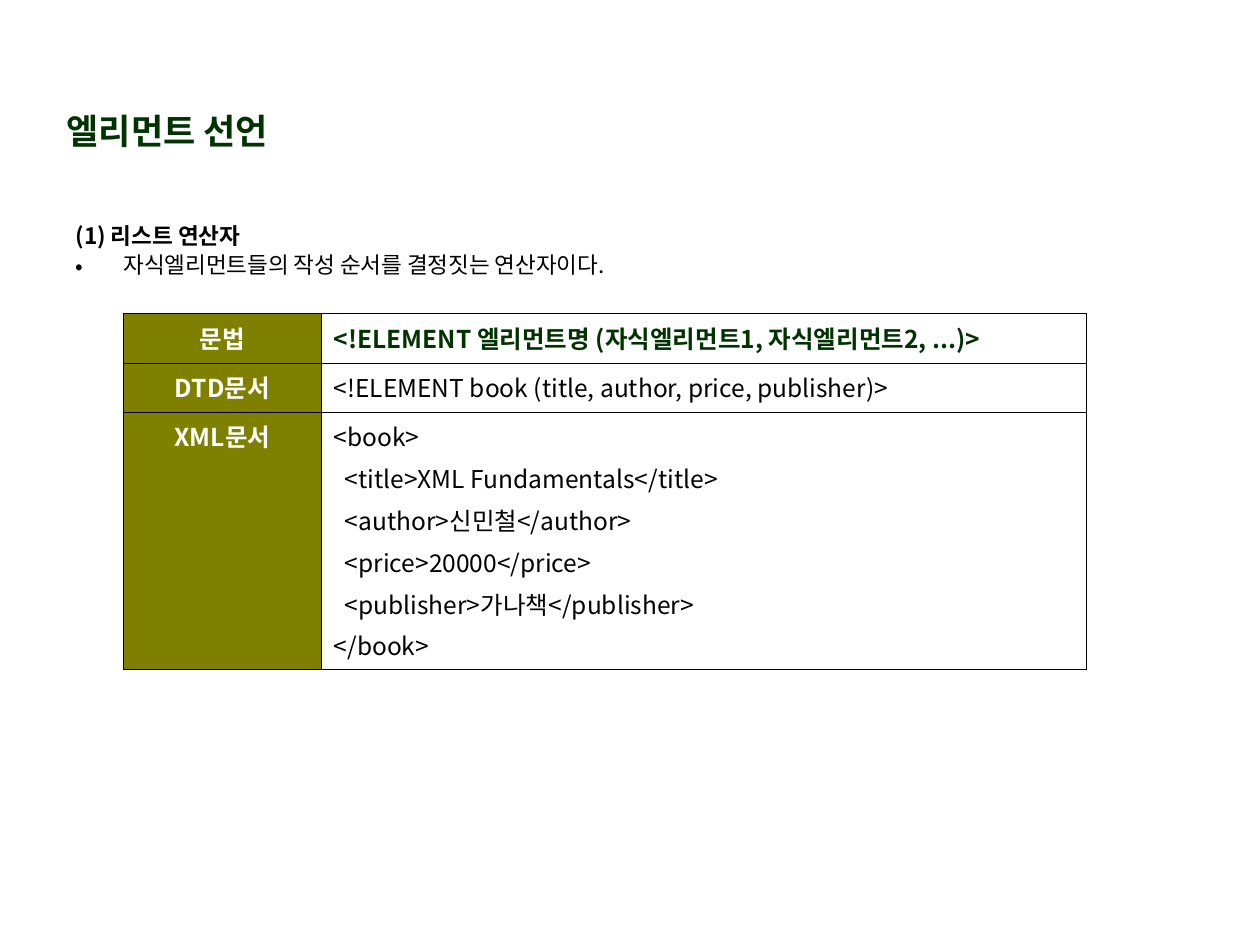
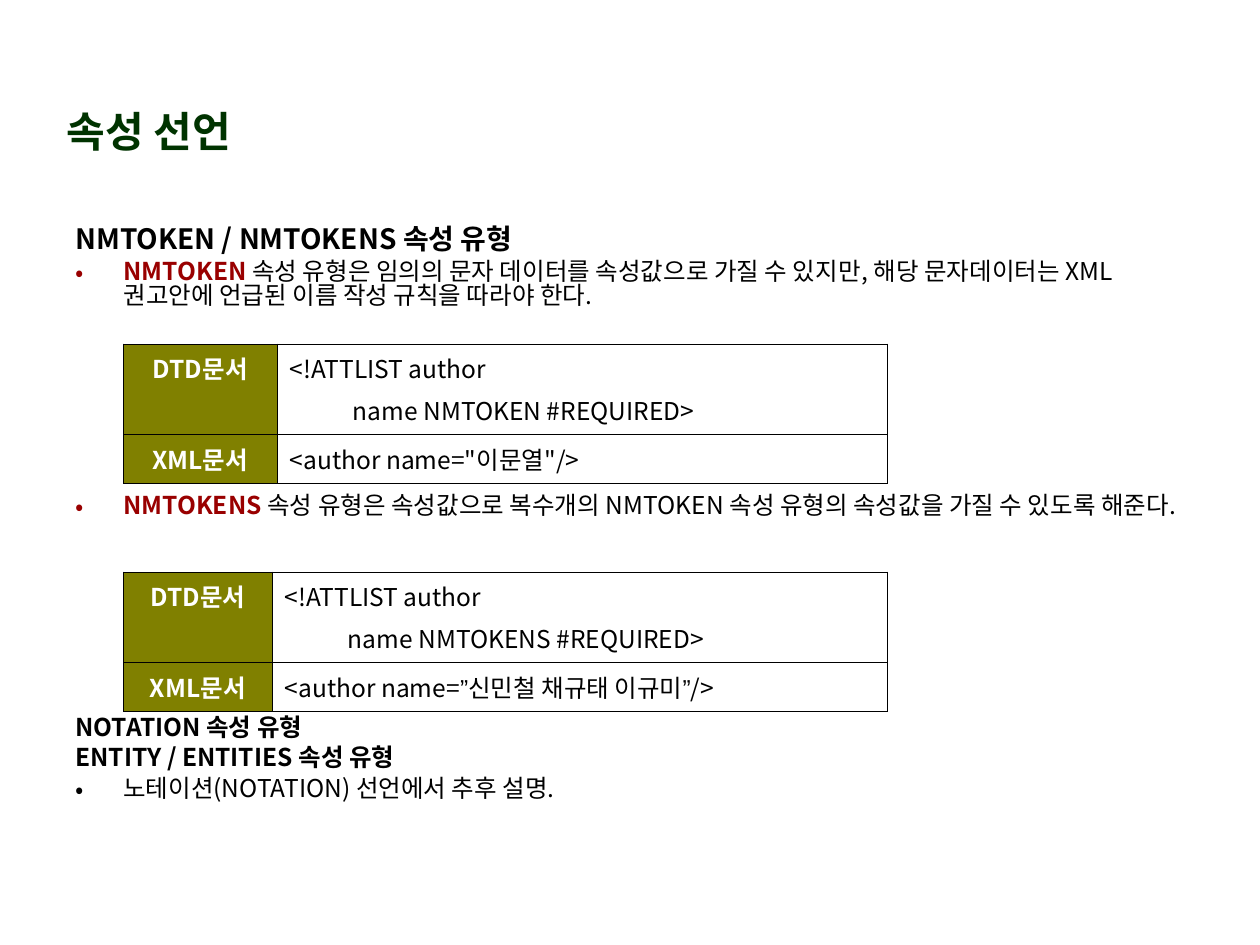
"""Builds two slides on XML element and attribute declarations."""
from lxml.etree import SubElement
from pptx import Presentation
from pptx.dml.color import RGBColor
from pptx.enum.text import MSO_ANCHOR as Anchor, MSO_AUTO_SIZE as AutoSize, PP_ALIGN as Align
from pptx.oxml.ns import qn
from pptx.util import Inches, Pt

COLOURS = {"ink": "000000", "green": "003300", "red": "990000",
           "olive": "808000", "white": "FFFFFF"}
FONT, QUOTE_FONT = "Noto Sans CJK KR", "Arial"
STYLES = {
    "plain": ("ink", False, FONT),
    "strong": ("ink", True, FONT),
    "term": ("red", True, FONT),
    "syntax": ("green", True, FONT),
    "label": ("white", True, FONT),
    "quote": ("ink", False, QUOTE_FONT),
}
TEXT_SIZE, LINE_SPACING, SPACE_BEFORE, INDENT = 14, 0.83, 3.5, 0.38
TITLE_BOX = (0.43, 0.76, 4.41, 0.55)
TEXT_LEFT, TABLE_LEFT = 0.5, 0.98
SINGLE_ROW, DOUBLE_ROW, BOOK_ROW = 0.39, 0.71, 2.04
BORDER_WIDTH = Pt(0.45)

ELEMENT_SLIDE = {
    "title": ("엘리먼트 선언", 20),
    "texts": [
        {"top": 1.75, "width": 9.07, "height": 0.58, "paras": [
            (False, 12.9, [("(1) 리스트 연산자", "strong")]),
            (True, 12.9, [("자식엘리먼트들의 작성 순서를 결정짓는 연산자이다.", "plain")]),
        ]},
    ],
    "tables": [
        {"top": 2.49, "columns": (1.57, 6.07), "rows": [
            (SINGLE_ROW, "문법", [[("<!ELEMENT 엘리먼트명 (자식엘리먼트1, 자식엘리먼트2, ...)>", "syntax")]]),
            (SINGLE_ROW, "DTD문서", [[("<!ELEMENT book (title, author, price, publisher)>", "plain")]]),
            (BOOK_ROW, "XML문서", [[(line, "plain")] for line in (
                "<book>",
                "  <title>XML Fundamentals</title>",
                "  <author>신민철</author>",
                "  <price>20000</price>",
                "  <publisher>가나책</publisher>",
                "</book>")]),
        ]},
    ],
}

ATTRIBUTE_SLIDE = {
    "title": ("속성 선언", 24),
    "texts": [
        {"top": 1.75, "width": 8.99, "height": 4.95, "paras": [
            (False, 16, [("NMTOKEN / NMTOKENS 속성 유형", "strong")]),
            (True, TEXT_SIZE, [
                ("NMTOKEN ", "term"),
                ("속성 유형은 임의의 문자 데이터를 속성값으로 가질 수 있지만, 해당 문자데이터는 XML "
                 "권고안에 언급된 이름 작성 규칙을 따라야 한다.", "plain")]),
        ]},
        {"top": 3.88, "width": 8.99, "height": 0.58, "paras": [
            (True, TEXT_SIZE, [
                ("NMTOKENS ", "term"),
                ("속성 유형은 속성값으로 복수개의 NMTOKEN 속성 유형의 속성값을 가질 수 있도록 "
                 "해준다.", "plain")]),
        ]},
        {"top": 5.64, "width": 8.99, "height": 0.87, "paras": [
            (False, TEXT_SIZE, [("NOTATION 속성 유형", "strong")]),
            (False, TEXT_SIZE, [("ENTITY / ENTITIES 속성 유형", "strong")]),
            (True, TEXT_SIZE, [("노테이션(NOTATION) 선언에서 추후 설명.", "plain")]),
        ]},
    ],
    "tables": [
        {"top": 2.73, "columns": (1.22, 4.84), "rows": [
            (DOUBLE_ROW, "DTD문서", [[("<!ATTLIST author", "plain")],
                                   [("\tname NMTOKEN #REQUIRED>", "plain")]]),
            (SINGLE_ROW, "XML문서", [[('<author name="이문열"/>', "plain")]]),
        ]},
        {"top": 4.54, "columns": (1.18, 4.88), "rows": [
            (DOUBLE_ROW, "DTD문서", [[("<!ATTLIST author", "plain")],
                                   [("\tname NMTOKENS #REQUIRED>", "plain")]]),
            (SINGLE_ROW, "XML문서", [[("<author name=", "plain"), ("”", "quote"),
                                    ("신민철 채규태 이규미", "plain"), ("”", "quote"),
                                    ("/>", "plain")]]),
        ]},
    ],
}


def rgb(name):
    return RGBColor.from_string(COLOURS[name])


def add_solid(parent, name):
    SubElement(SubElement(parent, qn("a:solidFill")), qn("a:srgbClr"), val=COLOURS[name])


def add_runs(para, runs, size):
    for text, style in runs:
        colour, bold, typeface = STYLES[style]
        span = para.add_run()
        span.text = text
        span.font.size = Pt(size)
        span.font.bold = bold
        span.font.color.rgb = rgb(colour)
        span.font.name = typeface
        SubElement(span.font._element, qn("a:ea"), typeface=typeface)


def next_paragraph(frame, index):
    if index == 0:
        return frame.paragraphs[0]
    para = frame.add_paragraph()
    para.space_before = Pt(SPACE_BEFORE)
    return para


def place(box, left, top, width, height):
    box.left, box.top, box.width, box.height = map(Inches, (left, top, width, height))
    box.text_frame.word_wrap = True
    box.text_frame.auto_size = AutoSize.NONE


def fill_title(box, text, size):
    place(box, *TITLE_BOX)
    box.text_frame.vertical_anchor = Anchor.MIDDLE
    para = box.text_frame.paragraphs[0]
    para.alignment = Align.LEFT
    add_runs(para, [(text, "syntax")], size)


def set_bullet(para, bulleted, colour):
    props = para._p.get_or_add_pPr()
    props.set("marL", str(Inches(INDENT)))
    props.set("indent", str(-Inches(INDENT)))
    if bulleted:
        SubElement(SubElement(props, qn("a:buClr")), qn("a:srgbClr"), val=COLOURS[colour])
        SubElement(props, qn("a:buFont"), typeface=FONT)
        SubElement(props, qn("a:buChar"), char="•")
    else:
        SubElement(props, qn("a:buNone"))


def fill_text(box, text):
    place(box, TEXT_LEFT, text["top"], text["width"], text["height"])
    for index, (bulleted, size, runs) in enumerate(text["paras"]):
        para = next_paragraph(box.text_frame, index)
        set_bullet(para, bulleted, STYLES[runs[0][1]][0])
        para.line_spacing = LINE_SPACING
        if index == 0:
            para.space_before = Pt(0)
        add_runs(para, runs, size)


def fill_cell(cell, lines, alignment, fill=None):
    props = cell._tc.get_or_add_tcPr()
    for side in ("lnL", "lnR", "lnT", "lnB"):
        add_solid(SubElement(props, qn(f"a:{side}"), w=str(BORDER_WIDTH)), "ink")
    if fill:
        cell.fill.solid()
        cell.fill.fore_color.rgb = rgb(fill)
    else:
        cell.fill.background()
    for index, runs in enumerate(lines):
        para = next_paragraph(cell.text_frame, index)
        para.alignment = alignment
        add_runs(para, runs, TEXT_SIZE)


def add_code_table(page, spec_table):
    columns, rows = spec_table["columns"], spec_table["rows"]
    heights = [row[0] for row in rows]
    table = page.shapes.add_table(
        len(rows), len(columns), Inches(TABLE_LEFT), Inches(spec_table["top"]),
        Inches(sum(columns)), Inches(sum(heights))).table
    table.first_row = table.horz_banding = False
    for column, width in zip(table.columns, columns):
        column.width = Inches(width)
    for index, (height, label, lines) in enumerate(rows):
        table.rows[index].height = Inches(height)
        fill_cell(table.cell(index, 0), [[(label, "label")]], Align.CENTER, "olive")
        fill_cell(table.cell(index, 1), lines, Align.LEFT)


def add_page(deck, content):
    page = deck.slides.add_slide(deck.slide_layouts[1])
    fill_title(page.shapes.title, *content["title"])
    body_text, *more_texts = content["texts"]
    fill_text(page.placeholders[1], body_text)
    for text in more_texts:
        fill_text(page.shapes.add_textbox(0, 0, 0, 0), text)
    for table in content["tables"]:
        add_code_table(page, table)


def main():
    deck = Presentation()
    deck.slide_width, deck.slide_height = Inches(10), Inches(7.5)
    for content in (ELEMENT_SLIDE, ATTRIBUTE_SLIDE):
        add_page(deck, content)
    deck.save("out.pptx")


if __name__ == "__main__":
    main()
